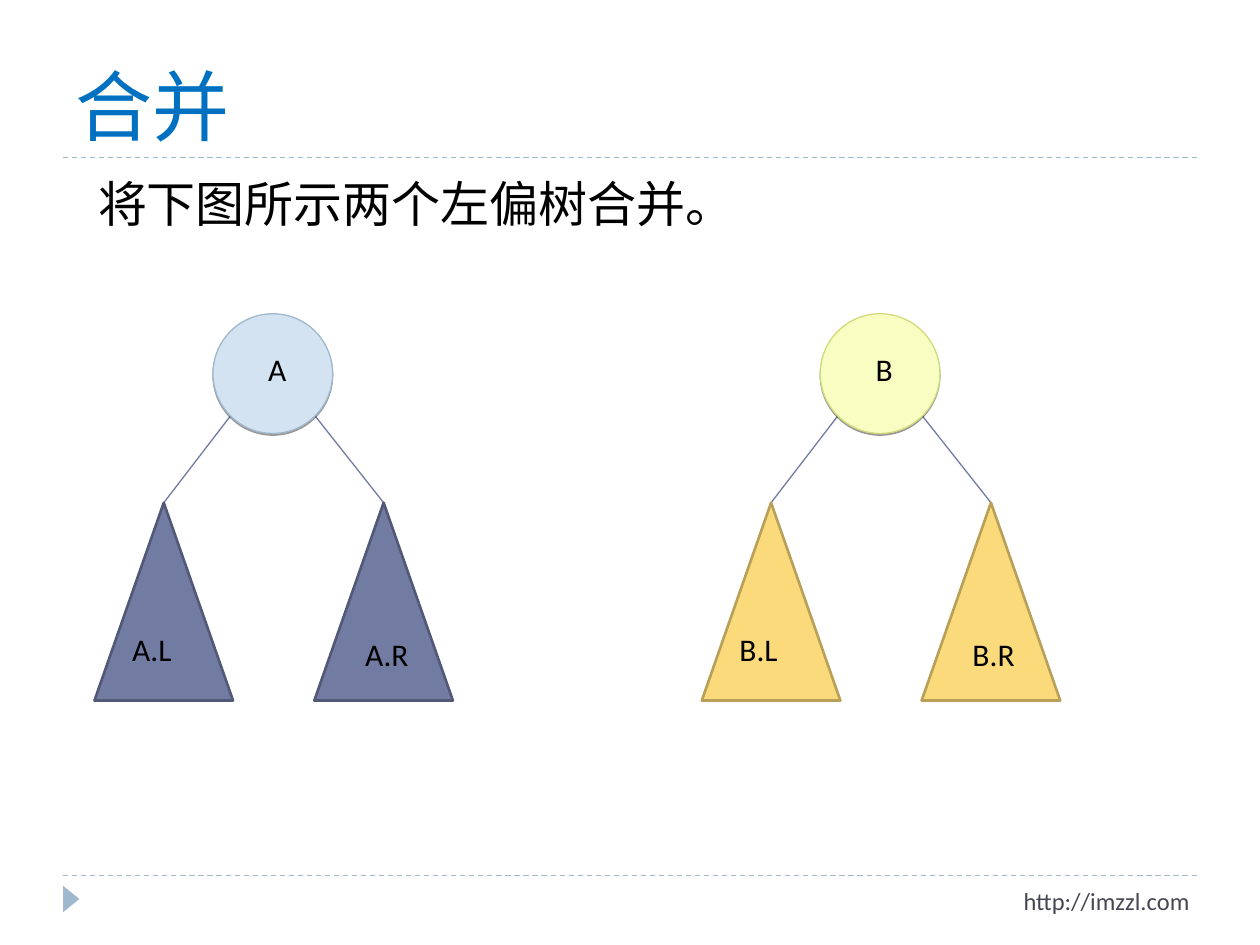
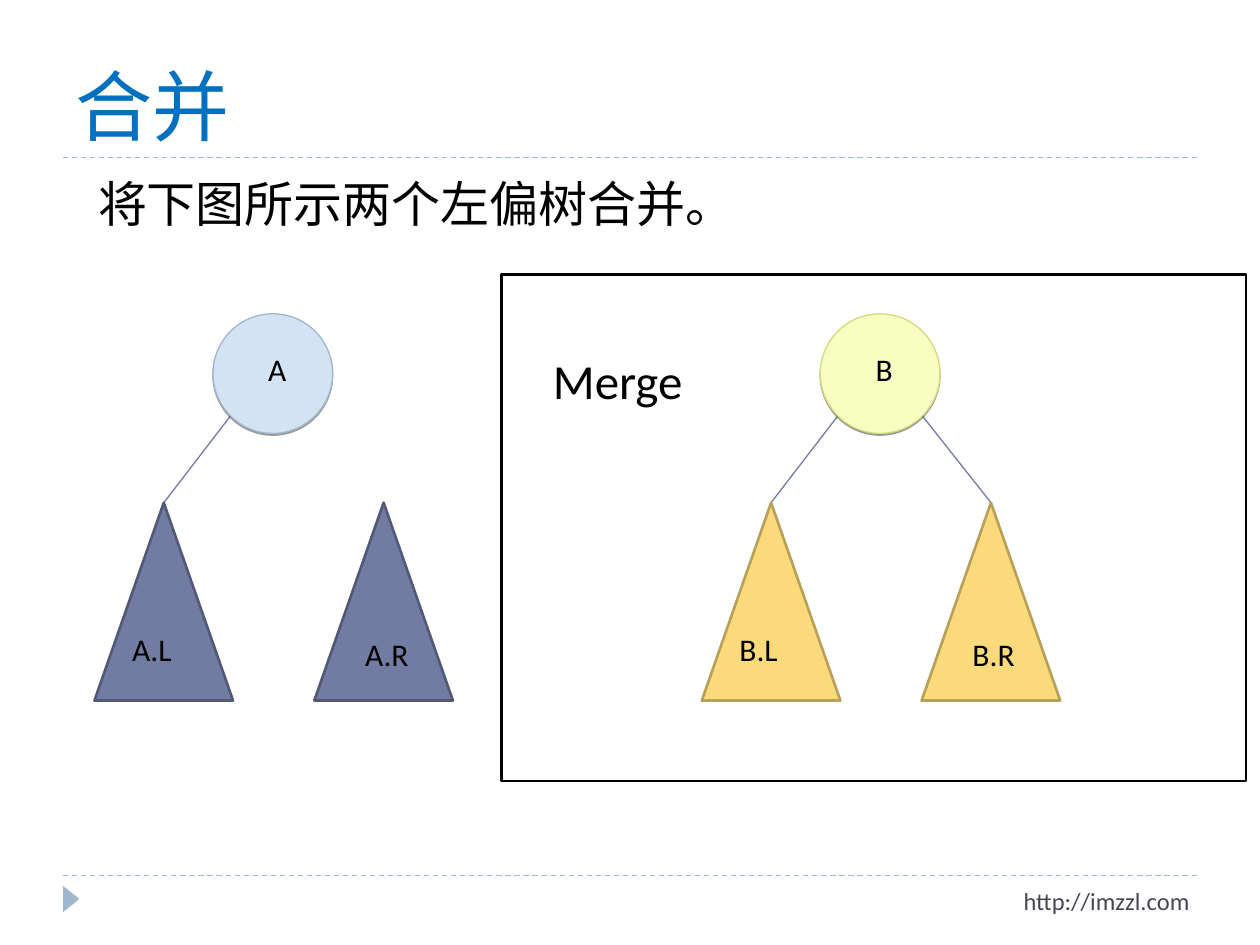
from dataclasses import dataclass

from lxml.etree import SubElement
from pptx import Presentation
from pptx.dml.color import RGBColor
from pptx.enum.dml import MSO_LINE
from pptx.enum.shapes import MSO_CONNECTOR, MSO_SHAPE
from pptx.enum.text import MSO_ANCHOR, PP_ALIGN
from pptx.oxml.ns import qn
from pptx.shapes.autoshape import Shape
from pptx.slide import Slide
from pptx.util import Inches, Pt

COLORS = {
    "title": "0070C0", "rule": "9FB8CD", "footer": "464653",
    "text": "000000", "paper": "FFFFFF", "branch": "727CA3",
    "a_root": "D3E3F2", "a_root_edge": "9FB8CD",
    "a_subtree": "727CA3", "a_subtree_edge": "525977",
    "b_root": "F8FEC2", "b_root_edge": "D2DA7A",
    "b_subtree": "FADA7A", "b_subtree_edge": "B8A058",
}
LATIN_FONT = "Calibri"
CHINESE_FONT = "Noto Sans CJK SC"


@dataclass(frozen=True)
class Box:
    left: float
    top: float
    width: float
    height: float

    def lengths(self) -> tuple:
        return tuple(Inches(v) for v in (self.left, self.top, self.width, self.height))


@dataclass(frozen=True)
class Tree:
    name: str
    left: float
    palette: str  # prefix of this tree's colour names


@dataclass(frozen=True)
class Subtree:
    suffix: str
    offset: float  # from the left edge of the tree
    label: Box  # left is relative to the tree
    branch_start: float


TREES = (Tree("A", 0.75, "a"), Tree("B", 5.57, "b"))
SUBTREES = (
    Subtree(".L", 0, Box(0.2, 4.95, 1.08, 0.4), 1.08),
    Subtree(".R", 1.745, Box(2.05, 4.99, 0.96, 0.4), 1.75),
)
SUBTREE_TOP, SUBTREE_WIDTH, SUBTREE_HEIGHT = 3.99, 1.1, 1.57
BRANCH_TOP = 3.3


def color(name: str) -> RGBColor:
    return RGBColor.from_string(COLORS[name])


def add_text(page: Slide, place: Box, text: str, size: float = 18,
             ink: str = "text", font: str = LATIN_FONT, wrap: bool = True,
             align: PP_ALIGN = PP_ALIGN.LEFT,
             anchor: MSO_ANCHOR = MSO_ANCHOR.TOP, indent: float = 0) -> None:
    frame = page.shapes.add_textbox(*place.lengths()).text_frame
    frame.word_wrap = wrap
    frame.vertical_anchor = anchor
    para = frame.paragraphs[0]
    para.alignment = align
    if indent:
        para._p.get_or_add_pPr().set("marL", str(Inches(indent)))
    span = para.add_run()
    span.text = text
    span.font.size = Pt(size)
    span.font.color.rgb = color(ink)
    span.font.name = font
    SubElement(span._r.get_or_add_rPr(), qn("a:ea"), typeface=CHINESE_FONT)


def add_line(page: Slide, start: tuple[float, float], end: tuple[float, float],
             ink: str, dashed: bool = False) -> None:
    line = page.shapes.add_connector(
        MSO_CONNECTOR.STRAIGHT, *(Inches(v) for v in (*start, *end)))
    line.line.color.rgb = color(ink)
    line.line.width = Pt(0.75)
    if dashed:
        line.line.dash_style = MSO_LINE.DASH
    SubElement(line._element.spPr, qn("a:effectLst"))


def add_figure(page: Slide, kind: MSO_SHAPE, place: Box, fill: str,
               edge: str | None = None, weight: float = 1.5) -> Shape:
    figure = page.shapes.add_shape(kind, *place.lengths())
    figure.shadow.inherit = False
    figure.fill.solid()
    figure.fill.fore_color.rgb = color(fill)
    if edge:
        figure.line.color.rgb = color(edge)
        figure.line.width = Pt(weight)
    else:
        figure.line.fill.background()
    return figure


def add_drop_shadow(figure: Shape) -> None:
    effects = figure._element.spPr.find(qn("a:effectLst"))
    shadow = SubElement(effects, qn("a:outerShdw"), blurRad="0",
                        dist=str(Pt(1)), dir="5400000", rotWithShape="0")
    ink = SubElement(shadow, qn("a:srgbClr"), val=COLORS["text"])
    SubElement(ink, qn("a:alpha"), val="40000")


def add_tree(page: Slide, tree: Tree, cut: str = "") -> None:
    """Draw a root and its two subtrees; the branch to `cut` is left off."""
    for subtree in SUBTREES:
        left = tree.left + subtree.offset
        if subtree.suffix != cut:
            add_line(page, (tree.left + subtree.branch_start, BRANCH_TOP),
                     (left + SUBTREE_WIDTH / 2, SUBTREE_TOP), "branch")
        add_figure(page, MSO_SHAPE.ISOSCELES_TRIANGLE,
                   Box(left, SUBTREE_TOP, SUBTREE_WIDTH, SUBTREE_HEIGHT),
                   f"{tree.palette}_subtree", f"{tree.palette}_subtree_edge")
        label = subtree.label
        add_text(page, Box(tree.left + label.left, label.top, label.width, label.height),
                 tree.name + subtree.suffix)
    root = add_figure(page, MSO_SHAPE.OVAL, Box(tree.left + 0.94, 2.49, 0.95, 0.95),
                      f"{tree.palette}_root", f"{tree.palette}_root_edge", 0.75)
    add_drop_shadow(root)
    add_text(page, Box(tree.left + 1.28, 2.73, 0.92, 0.4), tree.name)


def add_page(deck: Presentation) -> Slide:
    """Add a slide with the shared rules, title, statement and footer."""
    page = deck.slides.add_slide(deck.slide_layouts[6])
    for height in (1.25, 6.95):
        add_line(page, (0.5, height), (9.5, height), "rule", dashed=True)
    marker = add_figure(page, MSO_SHAPE.ISOSCELES_TRIANGLE,
                        Box(0.46, 7.07, 0.21, 0.13), "rule")
    marker.rotation = 90
    add_text(page, Box(0.5, 0.17, 9, 1.08), "合并", 44, "title", CHINESE_FONT,
             anchor=MSO_ANCHOR.BOTTOM)
    add_text(page, Box(5.71, 6.98, 3.83, 0.4), "http://imzzl.com", 14, "footer",
             align=PP_ALIGN.RIGHT)
    add_text(page, Box(0.5, 1.33, 9, 5.4), "将下图所示两个左偏树合并。", 28, indent=0.18)
    return page


def main() -> None:
    deck = Presentation()
    deck.slide_width, deck.slide_height = Inches(10), Inches(7.5)
    tree_a, tree_b = TREES

    # Two separate trees
    page = add_page(deck)
    add_tree(page, tree_a)
    add_tree(page, tree_b)

    # Right subtree of A is detached and merged with B
    page = add_page(deck)
    add_figure(page, MSO_SHAPE.RECTANGLE, Box(3.98, 2.18, 5.91, 4.02), "paper", "text")
    add_text(page, Box(4.29, 2.73, 1.65, 0.57), "Merge", 28)
    add_tree(page, tree_a, cut=".R")
    add_tree(page, tree_b)

    deck.save("out.pptx")


if __name__ == "__main__":
    main()
